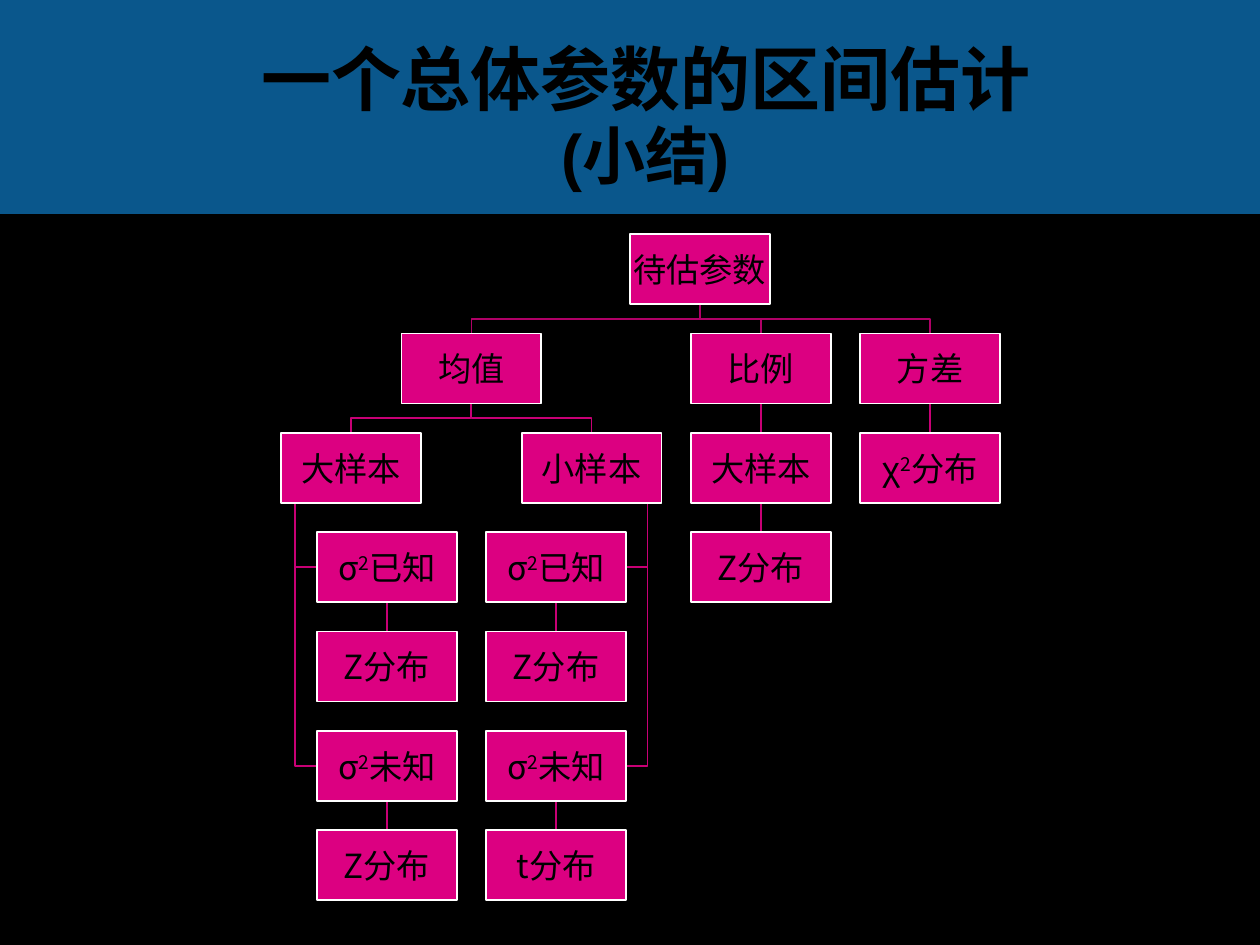
from dataclasses import dataclass
from itertools import pairwise

from lxml import etree
from pptx import Presentation
from pptx.dml.color import RGBColor
from pptx.enum.shapes import MSO_CONNECTOR, MSO_SHAPE
from pptx.enum.text import MSO_ANCHOR, MSO_AUTO_SIZE, PP_ALIGN
from pptx.oxml.ns import qn
from pptx.util import Inches, Pt

BLUE = RGBColor(0x0A, 0x57, 0x8C)
BLACK = RGBColor(0, 0, 0)
WHITE = RGBColor(0xFF, 0xFF, 0xFF)
PINK = RGBColor(0xDC, 0x00, 0x81)
ROOT_LINK = RGBColor(0xB0, 0x00, 0x67)
LINK = RGBColor(0xC8, 0x00, 0x75)

SLIDE_WIDTH, SLIDE_HEIGHT = 10, 7.5
BOX_WIDTH = 1.11
BOX_HEIGHT = BOX_WIDTH / 2
GAP = 0.21 * BOX_WIDTH
COLUMN_STEP = BOX_WIDTH + GAP
ROW_STEP = BOX_HEIGHT + GAP
FIRST_CENTRE, FIRST_TOP = 3.07, 1.86
SIDE_OFFSET = 0.4 * BOX_WIDTH


@dataclass
class Node:
    """A tree box; side is -1 or 1 when its link runs down that side of the parent."""
    label: str
    column: float
    row: int
    parent: "Node" = None
    side: int = 0

    @property
    def centre(self):
        return FIRST_CENTRE + self.column * COLUMN_STEP

    @property
    def top(self):
        return FIRST_TOP + self.row * ROW_STEP

    @property
    def bottom(self):
        return self.top + BOX_HEIGHT

    def link_points(self):
        parent = self.parent
        if self.side:
            trunk = parent.centre + self.side * SIDE_OFFSET
            middle = self.top + BOX_HEIGHT / 2
            edge = self.centre + self.side * BOX_WIDTH / 2
            return [(trunk, parent.bottom), (trunk, middle), (edge, middle)]
        start, end = (parent.centre, parent.bottom), (self.centre, self.top)
        if parent.column == self.column:
            return [start, end]
        bend = (parent.bottom + self.top) / 2
        return [start, (parent.centre, bend), (self.centre, bend), end]


def estimation_tree():
    root = Node("待估参数", 1.85, 0)
    mean = Node("均值", 0.5, 1, root)
    ratio = Node("比例", 2.21, 1, root)
    variance = Node("方差", 3.21, 1, root)
    large = Node("大样本", -0.21, 2, mean)
    small = Node("小样本", 1.21, 2, mean)
    ratio_large = Node("大样本", 2.21, 2, ratio)
    nodes = [root, mean, ratio, variance, large, small, ratio_large,
             Node("χ²分布", 3.21, 2, variance), Node("Z分布", 2.21, 3, ratio_large)]
    for column, sample, side, unknown_result in ((0, large, -1, "Z分布"),
                                                 (1, small, 1, "t分布")):
        for row, case, result in ((3, "σ²已知", "Z分布"),
                                  (5, "σ²未知", unknown_result)):
            known = Node(case, column, row, sample, side)
            nodes += [known, Node(result, column, row + 1, known)]
    return nodes


class SlideBuilder:
    TITLE_FONT, SUBTITLE_FONT, BOX_FONT = "Vollkorn", "Arial", "Noto Sans CJK SC"

    def __init__(self, deck):
        self.slide = deck.slides.add_slide(deck.slide_layouts[5])
        self.shapes = self.slide.shapes
        fill = self.slide.background.fill
        fill.solid()
        fill.fore_color.rgb = BLUE

    def frame(self, shape, horizontal, vertical):
        frame = shape.text_frame
        values = {"word_wrap": True, "auto_size": MSO_AUTO_SIZE.NONE,
                  "vertical_anchor": MSO_ANCHOR.MIDDLE,
                  "margin_left": Inches(horizontal), "margin_right": Inches(horizontal),
                  "margin_top": Inches(vertical), "margin_bottom": Inches(vertical)}
        for name, value in values.items():
            setattr(frame, name, value)
        para = frame.paragraphs[0]
        para.alignment = PP_ALIGN.CENTER
        return para

    def span(self, para, text, font, size, bold=False):
        span = para.add_run()
        span.text = text
        for name, value in {"name": font, "size": Pt(size), "bold": bold}.items():
            setattr(span.font, name, value)
        span.font.color.rgb = BLACK
        properties = span._r.get_or_add_rPr()
        etree.SubElement(properties, qn("a:ea"), typeface=font)
        return properties

    def title(self, heading, subtitle):
        title = self.shapes.title
        place = {"left": 0.83, "top": 0.25, "width": 8.59, "height": 1.37}
        for name, value in place.items():
            setattr(title, name, Inches(value))
        para = self.frame(title, 0.1, 0.05)
        para.line_spacing = 0.95
        self.span(para, heading, self.TITLE_FONT, 40, True)
        para.add_line_break()
        self.span(para, subtitle, self.SUBTITLE_FONT, 36, True)

    def rectangle(self, left, top, width, height, color):
        box = self.shapes.add_shape(MSO_SHAPE.RECTANGLE, *map(Inches, (left, top, width, height)))
        box.shadow.inherit = False
        box.fill.solid()
        box.fill.fore_color.rgb = color
        box.line.fill.background()
        return box

    def node(self, node):
        box = self.rectangle(node.centre - BOX_WIDTH / 2, node.top, BOX_WIDTH, BOX_HEIGHT, PINK)
        box.line.color.rgb = WHITE
        box.line.width = Pt(1)
        para = self.frame(box, 0.01, 0.01)
        base, power, rest = node.label.partition("²")
        self.span(para, base, self.BOX_FONT, 19)
        if power:
            self.span(para, "2", self.BOX_FONT, 19).set("baseline", "30000")
            self.span(para, rest, self.BOX_FONT, 19)

    def link(self, node):
        points = [(Inches(x), Inches(y)) for x, y in node.link_points()]
        if len(points) == 2:
            (start, end), = pairwise(points)
            line = self.shapes.add_connector(MSO_CONNECTOR.STRAIGHT, *start, *end)
            etree.SubElement(line._element.spPr, qn("a:effectLst"))
        else:
            builder = self.shapes.build_freeform(*points[0])
            builder.add_line_segments(points[1:], close=False)
            line = builder.convert_to_shape()
            line.fill.background()
            line.shadow.inherit = False
        line.line.color.rgb = LINK if node.parent.parent else ROOT_LINK
        line.line.width = Pt(1)


def main():
    deck = Presentation()
    deck.slide_width, deck.slide_height = Inches(SLIDE_WIDTH), Inches(SLIDE_HEIGHT)
    builder = SlideBuilder(deck)
    builder.title("一个总体参数的区间估计", "(小结)")
    builder.rectangle(0, 1.7, SLIDE_WIDTH, SLIDE_HEIGHT - 1.7, BLACK)
    nodes = estimation_tree()
    for node in nodes:
        if node.parent:
            builder.link(node)
    for node in nodes:
        builder.node(node)
    deck.save("out.pptx")


if __name__ == "__main__":
    main()
